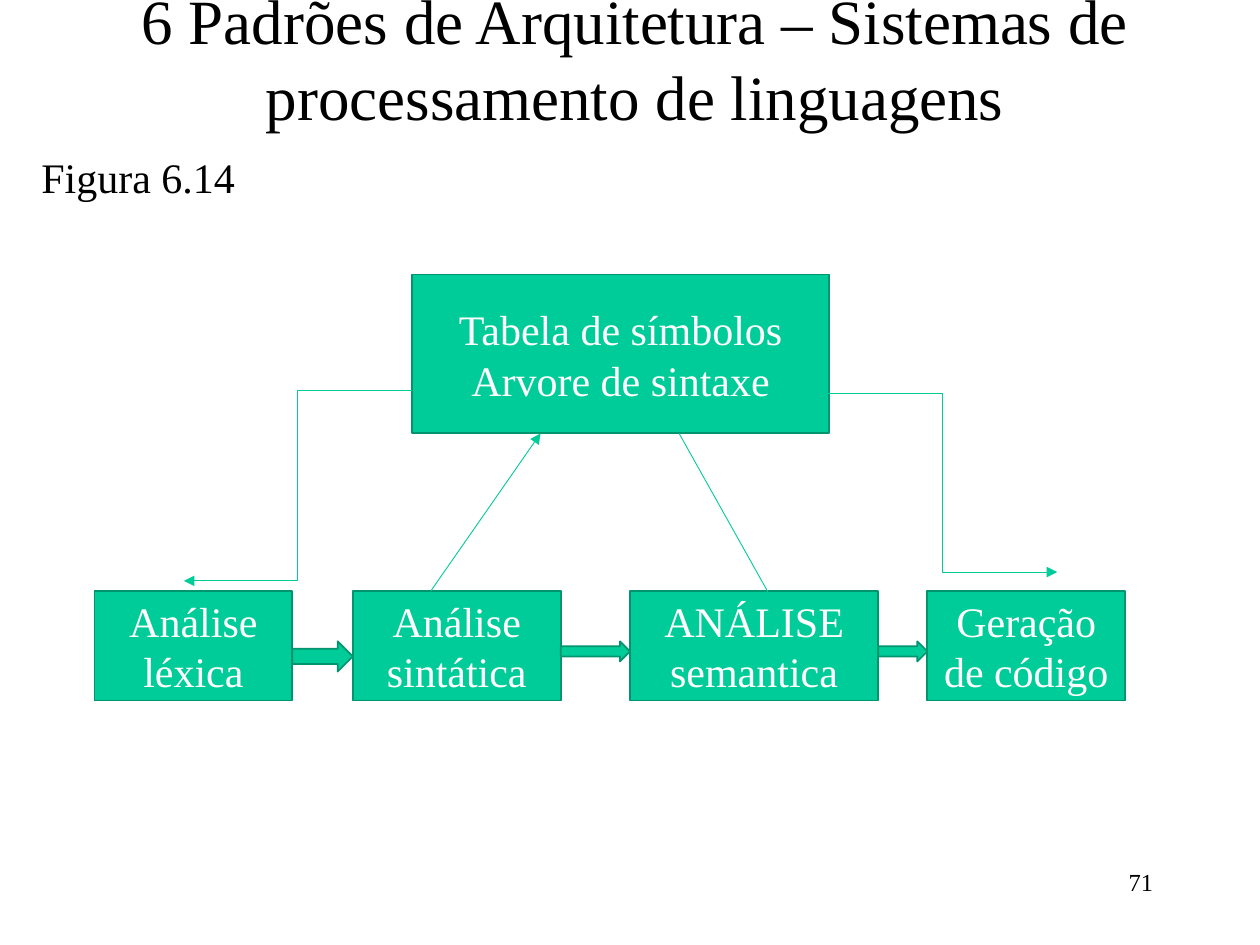
import pptx
import pptx.dml.color
import pptx.enum.shapes
import pptx.enum.text
import pptx.oxml
import pptx.oxml.ns
import pptx.util

Inches = pptx.util.Inches
SHAPES = pptx.enum.shapes.MSO_SHAPE
CONNECTORS = pptx.enum.shapes.MSO_CONNECTOR
ALIGN = pptx.enum.text.PP_ALIGN
ANCHOR = pptx.enum.text.MSO_ANCHOR

THEME = {
    "font": "Times New Roman",
    "text": "000000", "box_text": "FFFFFF", "fill": "00CC99", "outline": "00956F",
    "title": 36, "body": 24, "number": 14,
    "outline_width": 1, "link_width": 0.5,
}

# Content: text, (left, top, width, height), size, alignment, anchor, margins
TEXTS = [
    ("71", (7.17, 6.83, 2.08, 0.5), "number", ALIGN.RIGHT, ANCHOR.TOP, (0.1, 0.05)),
    ("6 Padrões de Arquitetura – Sistemas de processamento de linguagens",
     (0, 0, 10.08, 0.91), "title", ALIGN.CENTER, ANCHOR.MIDDLE, (0, 0)),
    ("Figura 6.14", (0.23, 1.15, 9.77, 0.5), "body", ALIGN.LEFT, ANCHOR.TOP, (0.1, 0.05)),
]
REPOSITORY = ("Tabela de símbolos\nArvore de sintaxe", (3.27, 2.18, 3.31, 1.26))

# Stages: text, left, width; each arrow height belongs to the gap after a stage
STAGES = [
    ("Análise léxica", 0.75, 1.57),
    ("Análise sintática", 2.8, 1.65),
    ("ANÁLISE semantica", 5, 1.97),
    ("Geração de código", 7.36, 1.57),
]
STAGE_TOP, STAGE_HEIGHT = 4.69, 0.87
ARROW_TOP, ARROW_HEIGHTS = 5.09, (0.24, 0.16, 0.16)

# Links with the repository: kind, start, end
LINKS = [
    (CONNECTORS.ELBOW, (6.57, 3.12), (8.39, 4.54)),
    (CONNECTORS.ELBOW, (3.27, 3.1), (1.46, 4.61)),
    (CONNECTORS.STRAIGHT, (3.42, 4.69), (4.29, 3.44)),
    (CONNECTORS.STRAIGHT, (5.39, 3.44), (6.18, 4.85)),
]


def color(name):
    return pptx.dml.color.RGBColor.from_string(THEME[name])


def apply(target, values):
    for name, value in values.items():
        setattr(target, name, value)


def write(shape, text, size, text_color, alignment, anchor, margins=(0.1, 0.05)):
    side, edge = map(Inches, margins)
    frame = shape.text_frame
    apply(frame, {
        "word_wrap": True, "vertical_anchor": anchor,
        "margin_left": side, "margin_right": side,
        "margin_top": edge, "margin_bottom": edge, "text": text,
    })
    for paragraph in frame.paragraphs:
        paragraph.alignment = alignment
        apply(paragraph.font, {"name": THEME["font"], "size": pptx.util.Pt(THEME[size])})
        paragraph.font.color.rgb = color(text_color)


def add_block(slide, kind, place):
    shape = slide.shapes.add_shape(kind, *map(Inches, place))
    shape.shadow.inherit = False
    shape.fill.solid()
    shape.fill.fore_color.rgb = color("fill")
    shape.line.color.rgb = color("outline")
    shape.line.width = pptx.util.Pt(THEME["outline_width"])
    return shape


def add_link(slide, kind, start, end):
    connector = slide.shapes.add_connector(kind, *map(Inches, start + end))
    connector.line.color.rgb = color("fill")
    connector.line.width = pptx.util.Pt(THEME["link_width"])
    namespace = pptx.oxml.ns.nsdecls("a")
    properties = connector.element.spPr
    properties.find(pptx.oxml.ns.qn("a:ln")).append(
        pptx.oxml.parse_xml(f'<a:tailEnd {namespace} type="triangle"/>'))
    properties.append(pptx.oxml.parse_xml(f"<a:effectLst {namespace}/>"))


def main():
    presentation = pptx.Presentation()
    apply(presentation, {"slide_width": Inches(10), "slide_height": Inches(7.5)})
    slide = presentation.slides.add_slide(presentation.slide_layouts[6])

    # Page number, title and caption
    for text, place, size, alignment, anchor, margins in TEXTS:
        box = slide.shapes.add_textbox(*map(Inches, place))
        write(box, text, size, "text", alignment, anchor, margins)

    # Repository above the row of stages
    boxes = [REPOSITORY] + [
        (text, (left, STAGE_TOP, width, STAGE_HEIGHT)) for text, left, width in STAGES]
    for text, place in boxes:
        block = add_block(slide, SHAPES.RECTANGLE, place)
        write(block, text, "body", "box_text", ALIGN.CENTER, ANCHOR.MIDDLE)

    # Block arrows filling the gaps between stages
    for (_, left, width), (_, next_left, _), height in zip(STAGES, STAGES[1:], ARROW_HEIGHTS):
        right = left + width
        add_block(slide, SHAPES.RIGHT_ARROW, (right, ARROW_TOP, next_left - right, height))

    # Links with the repository
    for link in LINKS:
        add_link(slide, *link)

    presentation.save("out.pptx")


if __name__ == "__main__":
    main()
